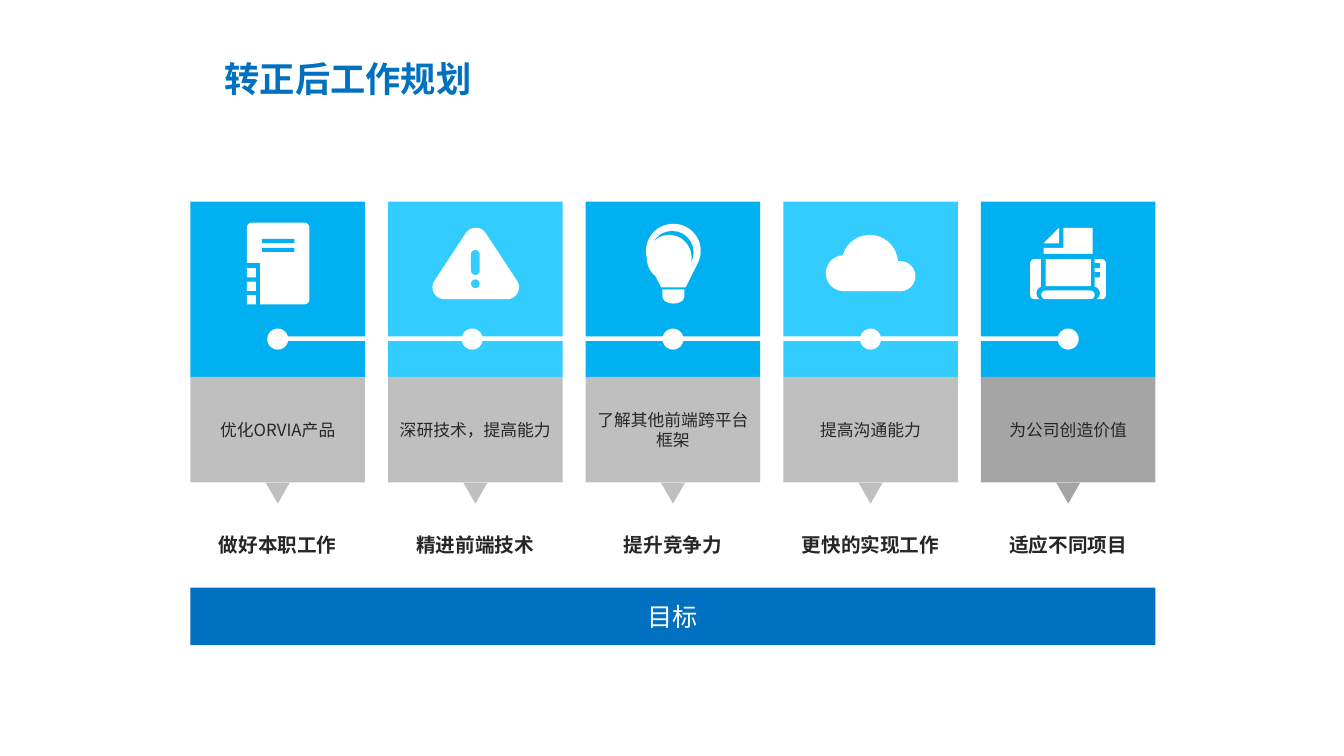
from lxml.etree import SubElement
from pptx import Presentation
from pptx.dml.color import RGBColor
from pptx.enum.shapes import MSO_SHAPE
from pptx.enum.text import MSO_ANCHOR, PP_ALIGN
from pptx.oxml.ns import qn
from pptx.util import Cm, Pt

COLORS = {
    "blue": "0070C0", "azure": "00B0F0", "sky": "33CCFF", "silver": "BFBFBF",
    "gray": "A5A5A5", "ink": "262626", "white": "FFFFFF",
}
FONT = "Noto Sans CJK SC"
RECTANGLE, ROUNDED, OVAL = MSO_SHAPE.RECTANGLE, MSO_SHAPE.ROUNDED_RECTANGLE, MSO_SHAPE.OVAL
TRIANGLE = MSO_SHAPE.ISOSCELES_TRIANGLE

# Layout in cm
CARD_LEFT, CARD_STEP, CARD_WIDTH = 4.8, 4.98, 4.4
CARD_TOP, CARD_HEIGHT = 5.08, 4.42
NOTE_TOP, NOTE_HEIGHT = 9.5, 2.66
DOT, POINTER_WIDTH, POINTER_HEIGHT = 0.53, 0.61, 0.53

# Cards: top color, note color, note, heading, dot shift
CARDS = [
    ("azure", "silver", "优化ORVIA产品", "做好本职工作", 0),
    ("sky", "silver", "深研技术，提高能力", "精进前端技术", -0.08),
    ("azure", "silver", "了解其他前端跨平台框架", "提升竞争力", 0),
    ("sky", "silver", "提高沟通能力", "更快的实现工作", 0),
    ("azure", "gray", "为公司创造价值", "适应不同项目", 0),
]


def write_text(shape, text, size=12, color="ink", bold=False, align=PP_ALIGN.CENTER,
               anchor=MSO_ANCHOR.MIDDLE, wrap=True, inset=(0.18, 0.1), spacing=None):
    frame = shape.text_frame
    frame.word_wrap = wrap
    frame.vertical_anchor = anchor
    frame.margin_left = frame.margin_right = Cm(inset[0])
    frame.margin_top = frame.margin_bottom = Cm(inset[1])
    paragraph = frame.paragraphs[0]
    paragraph.alignment = align
    if spacing:
        paragraph.line_spacing = spacing
    run = paragraph.add_run()
    run.text = text
    font = run.font
    font.size, font.bold, font.name = Pt(size), bold, FONT
    font.color.rgb = RGBColor.from_string(COLORS[color])
    SubElement(run._r.get_or_add_rPr(), qn("a:ea")).set("typeface", FONT)


class SlideBuilder:
    def __init__(self, slide):
        self.slide = slide

    def shape(self, kind, left, top, width, height, color, rotation=0, corner=None):
        shape = self.slide.shapes.add_shape(kind, Cm(left), Cm(top), Cm(width), Cm(height))
        shape.shadow.inherit = False
        shape.fill.solid()
        shape.fill.fore_color.rgb = RGBColor.from_string(COLORS[color])
        shape.line.fill.background()
        shape.rotation = rotation
        if corner is not None:
            shape.adjustments[0] = corner
        return shape

    def text(self, text, left, top, width, height, **style):
        shape = self.slide.shapes.add_textbox(Cm(left), Cm(top), Cm(width), Cm(height))
        write_text(shape, text, **style)


class IconPen:
    """Draws icon parts in cm from the top centre of a card."""

    def __init__(self, page, center, back):
        self.page, self.center, self.back = page, center, back

    def fill(self, kind, left, top, width, height, **options):
        return self.page.shape(kind, self.center + left, CARD_TOP + top, width, height,
                               "white", **options)

    def cut(self, kind, left, top, width, height, **options):
        return self.page.shape(kind, self.center + left, CARD_TOP + top, width, height,
                               self.back, **options)


def draw_notebook(pen):
    pen.fill(ROUNDED, -0.78, 0.53, 1.58, 2.06, corner=0.08)
    for line in range(2):
        pen.cut(RECTANGLE, -0.4, 0.94 + 0.23 * line, 0.82, 0.1)
    pen.cut(RECTANGLE, -0.8, 1.55, 0.35, 1.06)
    for ring in range(3):
        pen.fill(RECTANGLE, -0.78, 1.68 + 0.34 * ring, 0.23, 0.23)


def draw_warning(pen):
    sign = pen.fill(TRIANGLE, -0.78, 0.96, 1.58, 1.2)
    # A thick round-joined outline softens the corners
    sign.line.color.rgb = RGBColor.from_string(COLORS["white"])
    sign.line.width = Cm(0.6)
    SubElement(sign.line._get_or_add_ln(), qn("a:round"))
    pen.cut(ROUNDED, -0.11, 1.22, 0.22, 0.63, corner=0.5)
    pen.cut(OVAL, -0.11, 1.96, 0.22, 0.22)


def draw_bulb(pen):
    pen.fill(OVAL, -0.68, 0.56, 1.38, 1.36)
    pen.fill(MSO_SHAPE.TRAPEZOID, -0.6, 1.56, 1.22, 0.6, rotation=180, corner=0.5)
    pen.cut(OVAL, -0.56, 0.74, 1.08, 1.08)
    pen.fill(OVAL, -0.66, 0.84, 1.13, 1.16)
    pen.fill(MSO_SHAPE.FLOWCHART_DELAY, -0.17, 2.11, 0.36, 0.56, rotation=90)


def draw_cloud(pen):
    for left, top, size in ((-1.13, 1.35, 0.91), (-0.73, 0.84, 1.42), (0.37, 1.5, 0.76)):
        pen.fill(OVAL, left, top, size, size)
    pen.fill(RECTANGLE, -0.67, 1.8, 1.42, 0.46)


def draw_printer(pen):
    # Paper with a folded corner
    pen.fill(RECTANGLE, -0.12, 0.66, 0.74, 0.66)
    pen.fill(RECTANGLE, -0.62, 1.17, 0.6, 0.15)
    pen.fill(MSO_SHAPE.RIGHT_TRIANGLE, -0.62, 0.66, 0.39, 0.39, rotation=270)
    # Body, window, buttons and tray
    pen.fill(ROUNDED, -0.96, 1.45, 1.91, 1.01, corner=0.1)
    pen.cut(RECTANGLE, -0.68, 1.32, 1.35, 0.85)
    pen.fill(RECTANGLE, -0.57, 1.45, 1.14, 0.69)
    for button in range(2):
        pen.cut(RECTANGLE, 0.66, 1.55 + 0.23 * button, 0.14, 0.13)
    pen.cut(ROUNDED, -0.8, 2.14, 1.6, 0.34, corner=0.5)
    pen.fill(ROUNDED, -0.68, 2.24, 1.35, 0.22, corner=0.5)


ICONS = [draw_notebook, draw_warning, draw_bulb, draw_cloud, draw_printer]


def main():
    presentation = Presentation()
    presentation.slide_width, presentation.slide_height = Cm(33.87), Cm(19.05)
    page = SlideBuilder(presentation.slides.add_slide(presentation.slide_layouts[6]))

    # Title
    page.text("转正后工作规划", 5.41, 1.47, 21.9, 1.19, size=25.2, color="blue", bold=True,
              align=PP_ALIGN.LEFT, anchor=MSO_ANCHOR.BOTTOM, inset=(0.25, 0.13), spacing=0.9)

    # Cards with icon, note, pointer and heading
    for index, (top_color, note_color, note, heading, shift) in enumerate(CARDS):
        left = CARD_LEFT + index * CARD_STEP
        center = left + CARD_WIDTH / 2
        page.shape(RECTANGLE, left, CARD_TOP, CARD_WIDTH, CARD_HEIGHT, top_color)
        panel = page.shape(RECTANGLE, left, NOTE_TOP, CARD_WIDTH, NOTE_HEIGHT, note_color)
        write_text(panel, note)
        ICONS[index](IconPen(page, center, top_color))
        page.shape(OVAL, center + shift - DOT / 2, 8.28, DOT, DOT, "white")
        page.shape(TRIANGLE, center - POINTER_WIDTH / 2, NOTE_TOP + NOTE_HEIGHT,
                   POINTER_WIDTH, POINTER_HEIGHT, note_color, rotation=180)
        width = 0.5 * len(heading) + 0.38
        page.text(heading, center - width / 2, 13.34, width, 0.79, size=14, bold=True,
                  anchor=MSO_ANCHOR.TOP, wrap=False)

    # Timeline and goal bar
    page.shape(RECTANGLE, 6.86, 8.48, 19.88, 0.11, "white")
    span = CARD_STEP * (len(CARDS) - 1) + CARD_WIDTH
    goal = page.shape(RECTANGLE, CARD_LEFT, 14.81, span, 1.45, "blue")
    write_text(goal, "目标", size=18, color="white")

    presentation.save("out.pptx")


if __name__ == "__main__":
    main()
